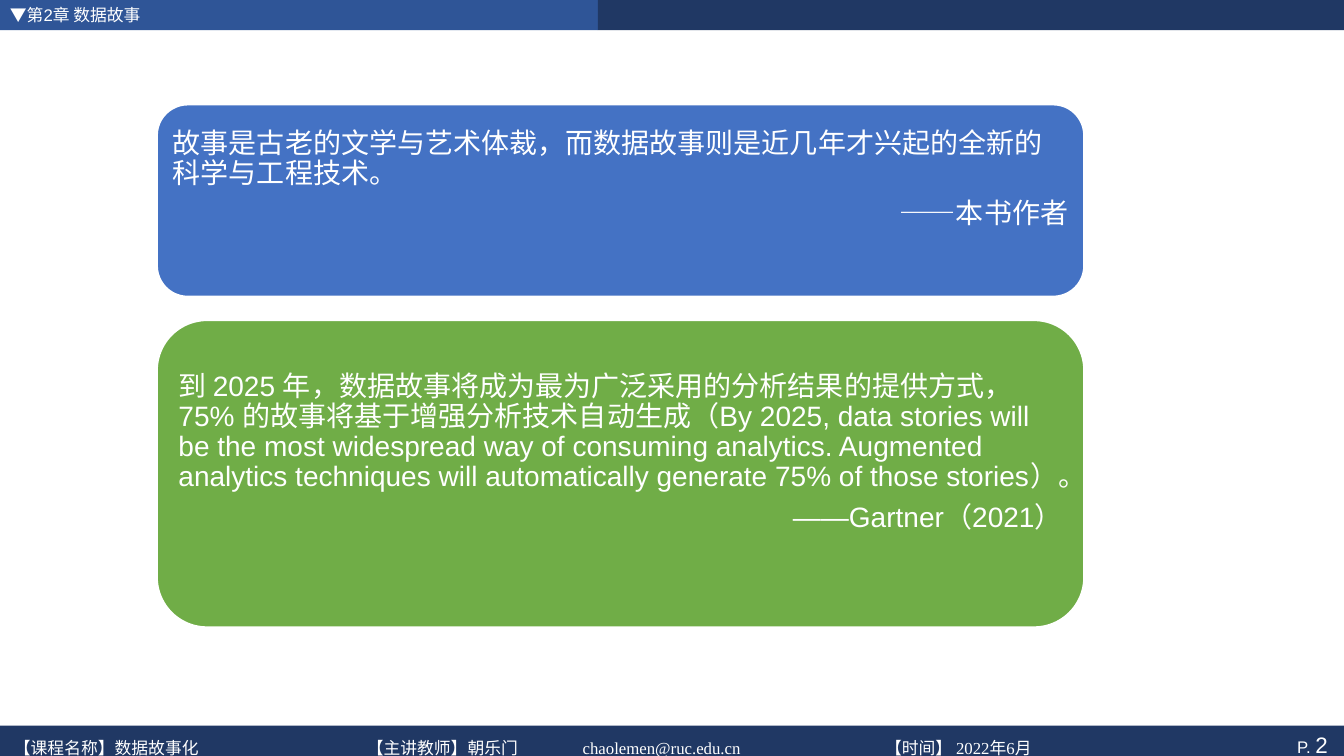
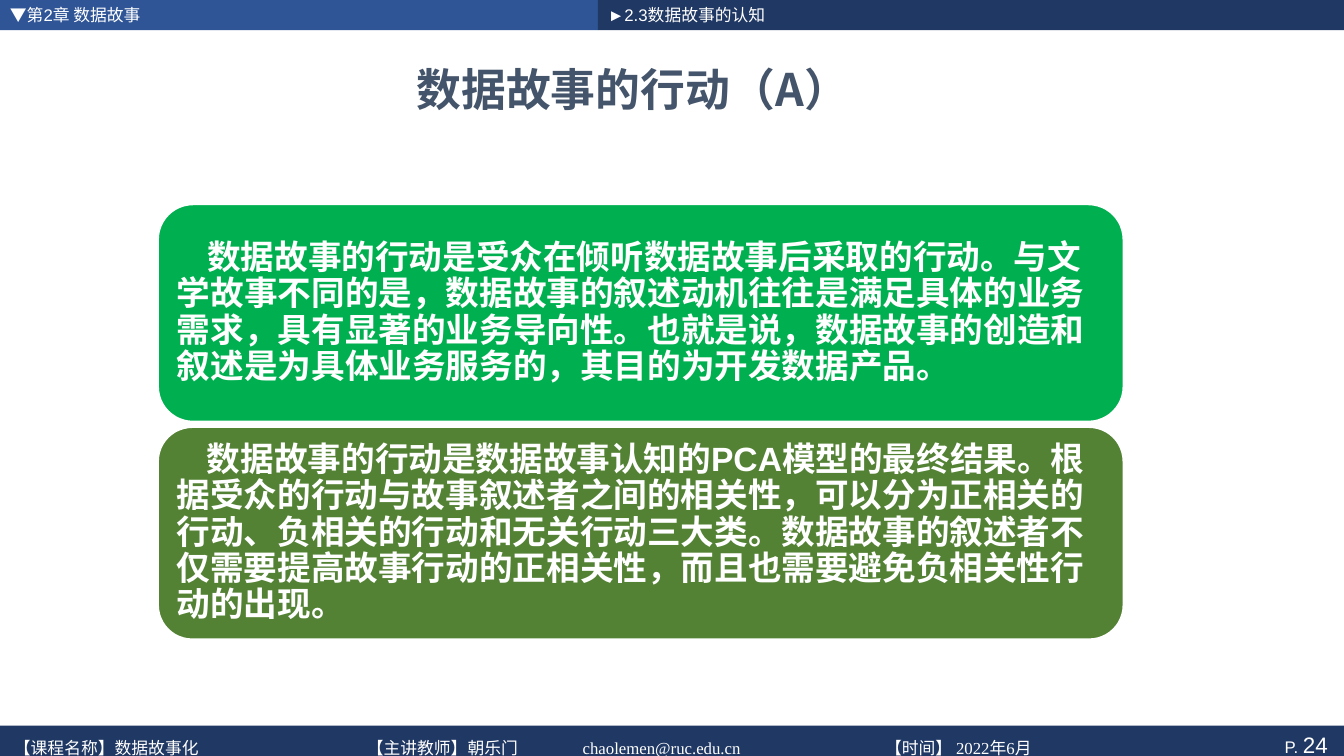
from dataclasses import dataclass

from lxml.etree import SubElement
from pptx import Presentation
from pptx.dml.color import RGBColor as Rgb
from pptx.enum.shapes import MSO_SHAPE as Shape
from pptx.enum.text import MSO_ANCHOR as Anchor, PP_ALIGN as Align
from pptx.oxml.ns import qn
from pptx.util import Inches, Pt


@dataclass(frozen=True)
class Theme:
    white: str = "FFFFFF"
    navy: str = "203864"
    blue: str = "2F5597"
    slate: str = "44546A"
    quote_blue: str = "4472C4"
    quote_green: str = "70AD47"
    bright_green: str = "00B050"
    dark_green: str = "548235"
    sans: str = "Arial"
    serif: str = "Times New Roman"
    chinese: str = "Noto Sans CJK SC"
    small: int = 12
    number: int = 16
    quote: int = 20
    body: int = 24
    title: int = 32
    card_line: float = 3.78


THEME = Theme()
PAGE_WIDTH, PAGE_HEIGHT = 13.33, 7.5
BAND_HEIGHT, CHAPTER_WIDTH = 0.3, 5.93
FOOTER = (0, 7.2, PAGE_WIDTH, 0.37)
FOOTER_TABS = (3.5, 5.64, 8.64)


# Text
def add_span(para, text, size=THEME.small, color=THEME.white, font=THEME.sans, bold=False):
    span = para.add_run()
    span.text = text
    span.font.size = Pt(size)
    span.font.bold = bold
    span.font.color.rgb = Rgb.from_string(color)
    span.font.name = font
    SubElement(span.font._element, qn("a:ea")).set("typeface", THEME.chinese)


def write(para, *texts, align=Align.LEFT, spacing=None, after=0, indent=0, tabs=(), **style):
    """Write one paragraph; a text may be a (text, size) pair."""
    para.alignment = align
    para.line_spacing = spacing
    para.space_before, para.space_after = Pt(0), Pt(after)
    properties = para._p.get_or_add_pPr()
    if indent:
        properties.set("indent", str(Inches(indent)))
    if tabs:
        stops = SubElement(properties, qn("a:tabLst"))
        for position in tabs:
            stop = SubElement(stops, qn("a:tab"))
            stop.set("pos", str(Inches(position)))
            stop.set("algn", "l")
    for text in texts:
        if isinstance(text, tuple):
            add_span(para, text[0], **{**style, "size": text[1]})
        else:
            add_span(para, text, **style)


def set_frame(frame, left=0.1, top=0.0, right=0.1, bottom=0.0):
    frame.word_wrap = True
    frame.vertical_anchor = Anchor.MIDDLE
    frame.margin_left, frame.margin_top = Inches(left), Inches(top)
    frame.margin_right, frame.margin_bottom = Inches(right), Inches(bottom)
    return frame


# Shapes
def add_block(page, box, fill, kind=Shape.RECTANGLE, line=None):
    block = page.shapes.add_shape(kind, *map(Inches, box))
    block.shadow.inherit = False
    block.fill.solid()
    block.fill.fore_color.rgb = Rgb.from_string(fill)
    if line:
        block.line.color.rgb = Rgb.from_string(THEME.white)
        block.line.width = Pt(line)
    else:
        block.line.fill.background()
    return block


def add_band(page, box, fill, text):
    band = add_block(page, box, fill)
    if text:
        write(set_frame(band.text_frame).paragraphs[0], text)


def add_card(page, box, fill, paragraphs, inset, bottom, **style):
    """Rounded card; paragraphs are (text, alignment) pairs."""
    card = add_block(page, box, fill, Shape.ROUNDED_RECTANGLE, THEME.card_line)
    frame = set_frame(card.text_frame, inset, inset, inset, bottom)
    for index, (text, align) in enumerate(paragraphs):
        para = frame.add_paragraph() if index else frame.paragraphs[0]
        last = index == len(paragraphs) - 1
        write(para, text, align=align, spacing=0.9, after=0 if last else 7, **style)


# Regions that every slide shares
def add_header(page, section):
    add_band(page, (0, 0, CHAPTER_WIDTH, BAND_HEIGHT), THEME.blue, "▼第2章 数据故事")
    add_band(page, (CHAPTER_WIDTH, 0, PAGE_WIDTH - CHAPTER_WIDTH, BAND_HEIGHT),
             THEME.navy, section)


def add_footer(page, box, number):
    left, top, width, height = box
    band = add_block(page, box, THEME.navy)
    frame = set_frame(band.text_frame, right=0.16)
    write(frame.paragraphs[0], "P. ", (str(number), THEME.number), align=Align.RIGHT)

    credits = page.shapes.add_textbox(
        Inches(left + 0.04), Inches(top + 0.04), Inches(11.73), Inches(height - 0.02))
    fields = ("【课程名称】数据故事化", "【主讲教师】朝乐门",
              "chaolemen@ruc.edu.cn", "【时间】 2022年6月")
    write(set_frame(credits.text_frame).paragraphs[0], "\t".join(fields),
          tabs=FOOTER_TABS, font=THEME.serif)


def add_title(page, box, text):
    title = page.shapes.title
    title.left, title.top, title.width, title.height = map(Inches, box)
    write(set_frame(title.text_frame).paragraphs[0], text, align=Align.CENTER,
          size=THEME.title, color=THEME.slate, font=THEME.chinese, bold=True)


def add_page(deck, number, section="", title=""):
    page = deck.slides.add_slide(deck.slide_layouts[5 if title else 6])
    add_header(page, section)
    add_footer(page, FOOTER, number)
    if title:
        add_title(page, (0.44, 0.43, 11.67, 0.9), title)
    return page


# Slides
def add_quotes_slide(deck):
    page = add_page(deck, 2)
    left, width = 1.54, 9.23
    quotes = (
        (1.02, 1.94, THEME.quote_blue,
         "故事是古老的文学与艺术体裁，而数据故事则是近几年才兴起的全新的科学与工程技术。",
         "——本书作者"),
        (3.16, 3.08, THEME.quote_green,
         "到 2025 年，数据故事将成为最为广泛采用的分析结果的提供方式，75% 的故事将基于增强"
         "分析技术自动生成（By 2025, data stories will be the most widespread way of "
         "consuming analytics. Augmented analytics techniques will automatically "
         "generate 75% of those stories）。",
         "——Gartner（2021）"),
    )
    for top, height, fill, quote, author in quotes:
        add_card(page, (left, top, width, height), fill,
                 ((quote, Align.LEFT), (author, Align.RIGHT)),
                 inset=0.08, bottom=0.5, size=THEME.quote)


def add_action_slide(deck):
    page = add_page(deck, 24, "►2.3数据故事的认知", "数据故事的行动（A）")
    left, width = 1.55, 9.61
    statements = (
        (2.01, 2.19, THEME.bright_green,
         "数据故事的行动是受众在倾听数据故事后采取的行动。与文学故事不同的是，数据故事的叙述"
         "动机往往是满足具体的业务需求，具有显著的业务导向性。也就是说，数据故事的创造和叙述"
         "是为具体业务服务的，其目的为开发数据产品。"),
        (4.22, 2.14, THEME.dark_green,
         "数据故事的行动是数据故事认知的PCA模型的最终结果。根据受众的行动与故事叙述者之间的"
         "相关性，可以分为正相关的行动、负相关的行动和无关行动三大类。数据故事的叙述者不仅需要"
         "提高故事行动的正相关性，而且也需要避免负相关性行动的出现。"),
    )
    for top, height, fill, statement in statements:
        add_card(page, (left, top, width, height), fill, ((statement, Align.LEFT),),
                 inset=0.1, bottom=0.1, indent=0.3, size=THEME.body, bold=True)


def main():
    deck = Presentation()
    deck.slide_width, deck.slide_height = Inches(PAGE_WIDTH), Inches(PAGE_HEIGHT)
    add_quotes_slide(deck)
    add_action_slide(deck)
    deck.save("out.pptx")


if __name__ == "__main__":
    main()
